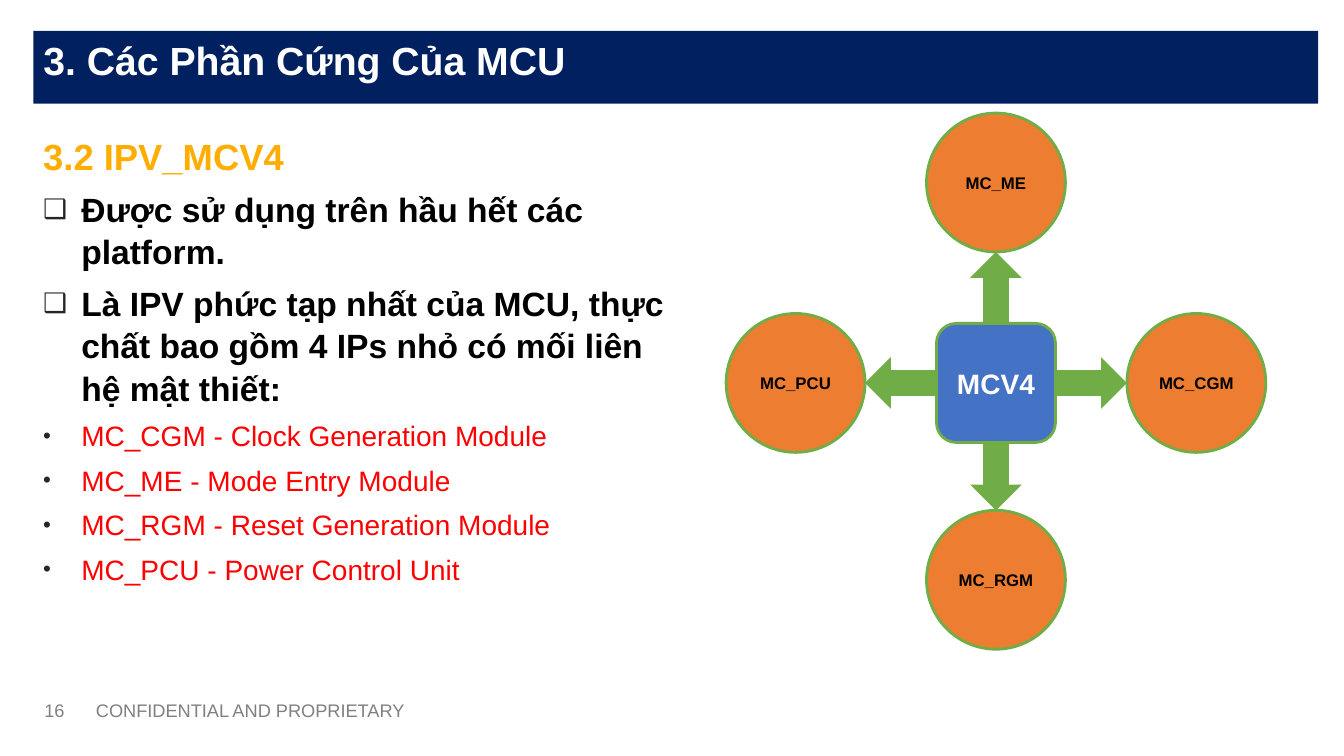
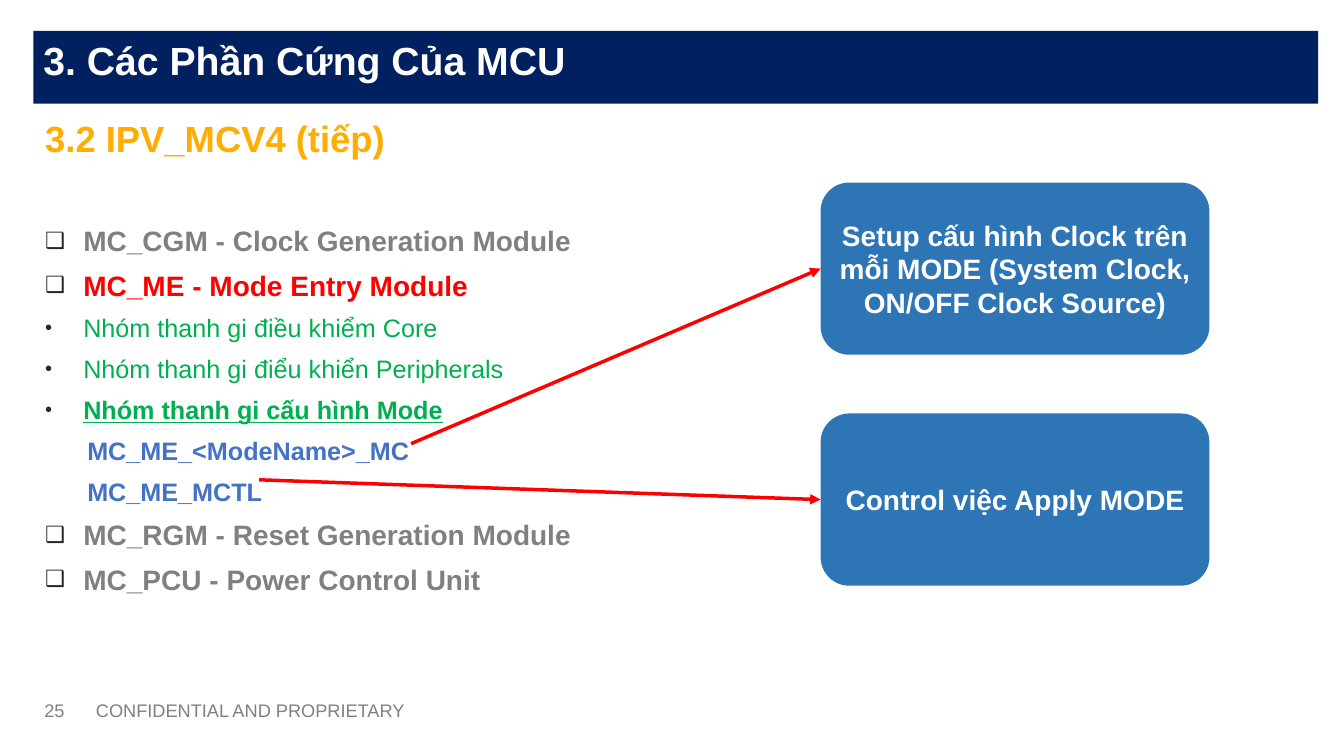
"""Builds two slides on the MCV4 hardware block of an MCU."""
from lxml.etree import SubElement
from pptx import Presentation
from pptx.dml.color import RGBColor
from pptx.enum.shapes import MSO_CONNECTOR, MSO_SHAPE
from pptx.enum.text import MSO_ANCHOR, MSO_AUTO_SIZE, PP_ALIGN
from pptx.oxml.ns import qn
from pptx.util import Cm, Pt

COLORS = {
    "navy": "002060", "white": "FFFFFF", "black": "000000", "gray": "808080",
    "amber": "FFAD00", "red": "FF0000", "bullet": "262626", "leaf": "70AD47",
    "orange": "ED7D31", "blue": "4472C4", "steel": "2E75B6", "green": "00B050",
}
FONT = "Arial"
TITLE = "3. Các Phần Cứng Của MCU"
FOOTER = "CONFIDENTIAL AND PROPRIETARY"
HANGING = Cm(0.96)


def rgb(name):
    return RGBColor.from_string(COLORS[name])


def write(frame, text, size=20, color="white", bold=False, underline=False,
          align=PP_ALIGN.LEFT, before=0, after=0, spacing=1.0, bullet=None, indent=0):
    paragraph = frame.paragraphs[0] if not frame.text else frame.add_paragraph()
    paragraph.alignment = align
    paragraph.space_before, paragraph.space_after = Pt(before), Pt(after)
    paragraph.line_spacing = spacing
    properties = paragraph._p.get_or_add_pPr()
    properties.set("marL", str(HANGING if bullet else indent))
    properties.set("indent", str(-HANGING if bullet else 0))
    if bullet:
        bullet_color = SubElement(properties, qn("a:buClr"))
        SubElement(bullet_color, qn("a:srgbClr"), val=COLORS["bullet"])
        SubElement(properties, qn("a:buSzPct"), val="80000")
        SubElement(properties, qn("a:buFont"), typeface=FONT)
        SubElement(properties, qn("a:buChar"), char=bullet)
    run = paragraph.add_run()
    run.text = text
    run.font.name, run.font.size = FONT, Pt(size)
    run.font.bold, run.font.underline = bold, underline
    run.font.color.rgb = rgb(color)


chapter = dict(size=26, color="amber", bold=True)
box_item = dict(bullet="❑", bold=True)
dot_item = dict(bullet="•")
register = dict(size=18, color="blue", bold=True, indent=Cm(1.06))
group = dict(dot_item, size=18, color="green")

pages = [
    ("16", (0.84, 3.2, 16.18, 14.25), [
        ("3.2 IPV_MCV4", chapter),
        ("Được sử dụng trên hầu hết các platform.", dict(box_item, size=24, color="black")),
        ("Là IPV phức tạp nhất của MCU, thực chất bao gồm 4 IPs nhỏ có mối liên hệ mật thiết:",
         dict(box_item, size=24, color="black")),
        ("MC_CGM - Clock Generation Module", dict(dot_item, color="red")),
        ("MC_ME - Mode Entry Module", dict(dot_item, color="red")),
        ("MC_RGM - Reset Generation Module", dict(dot_item, color="red")),
        ("MC_PCU - Power Control Unit", dict(dot_item, color="red")),
    ]),
    ("25", (0.89, 2.74, 18, 13.5), [
        ("3.2 IPV_MCV4 (tiếp)", chapter),
        ("MC_CGM - Clock Generation Module", dict(box_item, color="gray", before=43.8)),
        ("MC_ME - Mode Entry Module", dict(box_item, color="red")),
        ("Nhóm thanh gi điều khiểm Core", group),
        ("Nhóm thanh gi điểu khiển Peripherals", group),
        ("Nhóm thanh gi cấu hình Mode", dict(group, bold=True, underline=True)),
        ("MC_ME_<ModeName>_MC", register),
        ("MC_ME_MCTL", register),
        ("MC_RGM - Reset Generation Module", dict(box_item, color="gray")),
        ("MC_PCU - Power Control Unit", dict(box_item, color="gray")),
    ]),
]

presentation = Presentation()
presentation.slide_width, presentation.slide_height = Cm(33.87), Cm(19.05)
slides = []

for number, body_place, lines in pages:
    slide = presentation.slides.add_slide(presentation.slide_layouts[5])
    slides.append(slide)

    title = slide.shapes.title
    title.left, title.top, title.width, title.height = Cm(0.84), Cm(0.78), Cm(32.38), Cm(1.83)
    title.fill.solid()
    title.fill.fore_color.rgb = rgb("navy")
    title.text_frame.vertical_anchor = MSO_ANCHOR.TOP
    title.text_frame.auto_size = MSO_AUTO_SIZE.NONE
    write(title.text_frame, TITLE, size=28, bold=True)

    body = slide.shapes.add_textbox(*map(Cm, body_place)).text_frame
    body.word_wrap = True
    for text, style in lines:
        write(body, text, **{"before": 5.8, "after": 0.8, "spacing": 1.05, **style})

    for text, left, width in ((number, 0.87, 1.65), (FOOTER, 2.17, 10.1)):
        footer = slide.shapes.add_textbox(Cm(left), Cm(17.5), Cm(width), Cm(0.8)).text_frame
        footer.word_wrap = True
        write(footer, text, size=13, color="gray")

module_slide, mode_slide = slides

HUB_X, HUB_Y, HUB_SIZE = 25.1, 9.65, 3
MODULE_SIZE, ARROW_WIDTH = 3.5, 1.3
modules = [
    ("MC_CGM", 1, 0, 5.05, 270),
    ("MC_ME", 0, -1, 5.05, 180),
    ("MC_PCU", -1, 0, 5.05, 90),
    ("MC_RGM", 0, 1, 4.96, 0),
]
nodes = [("MCV4", MSO_SHAPE.ROUNDED_RECTANGLE, HUB_X, HUB_Y, HUB_SIZE, "blue", 20, "white")]
for name, across, down, distance, angle in modules:
    nodes.append((name, MSO_SHAPE.OVAL, HUB_X + across * distance, HUB_Y + down * distance,
                  MODULE_SIZE, "orange", 12, "black"))

for name, outline, x, y, side, fill, size, color in nodes:
    node = module_slide.shapes.add_shape(
        outline, Cm(x - side / 2), Cm(y - side / 2), Cm(side), Cm(side))
    node.shadow.inherit = False
    node.fill.solid()
    node.fill.fore_color.rgb = rgb(fill)
    node.line.color.rgb = rgb("leaf")
    node.line.width = Pt(2)
    node.text_frame.margin_left = node.text_frame.margin_right = 0
    node.text_frame.vertical_anchor = MSO_ANCHOR.MIDDLE
    write(node.text_frame, name, size=size, color=color, bold=True, align=PP_ALIGN.CENTER)

for name, across, down, distance, angle in modules:
    length = distance - (HUB_SIZE + MODULE_SIZE) / 2
    reach = (HUB_SIZE + length) / 2
    arrow = module_slide.shapes.add_shape(
        MSO_SHAPE.DOWN_ARROW,
        Cm(HUB_X + across * reach - ARROW_WIDTH / 2), Cm(HUB_Y + down * reach - length / 2),
        Cm(ARROW_WIDTH), Cm(length))
    arrow.rotation = angle
    arrow.shadow.inherit = False
    arrow.fill.solid()
    arrow.fill.fore_color.rgb = rgb("leaf")
    arrow.line.fill.background()

purposes = [
    ("Setup cấu hình Clock trên mỗi MODE (System Clock, ON/OFF Clock Source)",
     4.6, 10.36, 11.18),
    ("Control việc Apply MODE", 10.42, 6.53, 12.09),
]
for text, top, start_x, start_y in purposes:
    purpose = mode_slide.shapes.add_shape(
        MSO_SHAPE.ROUNDED_RECTANGLE, Cm(20.68), Cm(top), Cm(9.8), Cm(4.34))
    purpose.shadow.inherit = False
    purpose.fill.solid()
    purpose.fill.fore_color.rgb = rgb("steel")
    purpose.line.fill.background()
    purpose.text_frame.word_wrap = True
    purpose.text_frame.vertical_anchor = MSO_ANCHOR.MIDDLE
    write(purpose.text_frame, text, bold=True, align=PP_ALIGN.CENTER)

    pointer = mode_slide.shapes.add_connector(
        MSO_CONNECTOR.STRAIGHT, Cm(start_x), Cm(start_y), Cm(20.68), Cm(top + 2.17))
    pointer.end_connect(purpose, 1)
    pointer.line.color.rgb = rgb("red")
    pointer.line.width = Pt(2.5)
    SubElement(pointer.line._get_or_add_ln(), qn("a:tailEnd"), type="triangle")
    SubElement(pointer._element.spPr, qn("a:effectLst"))

presentation.save("out.pptx")
